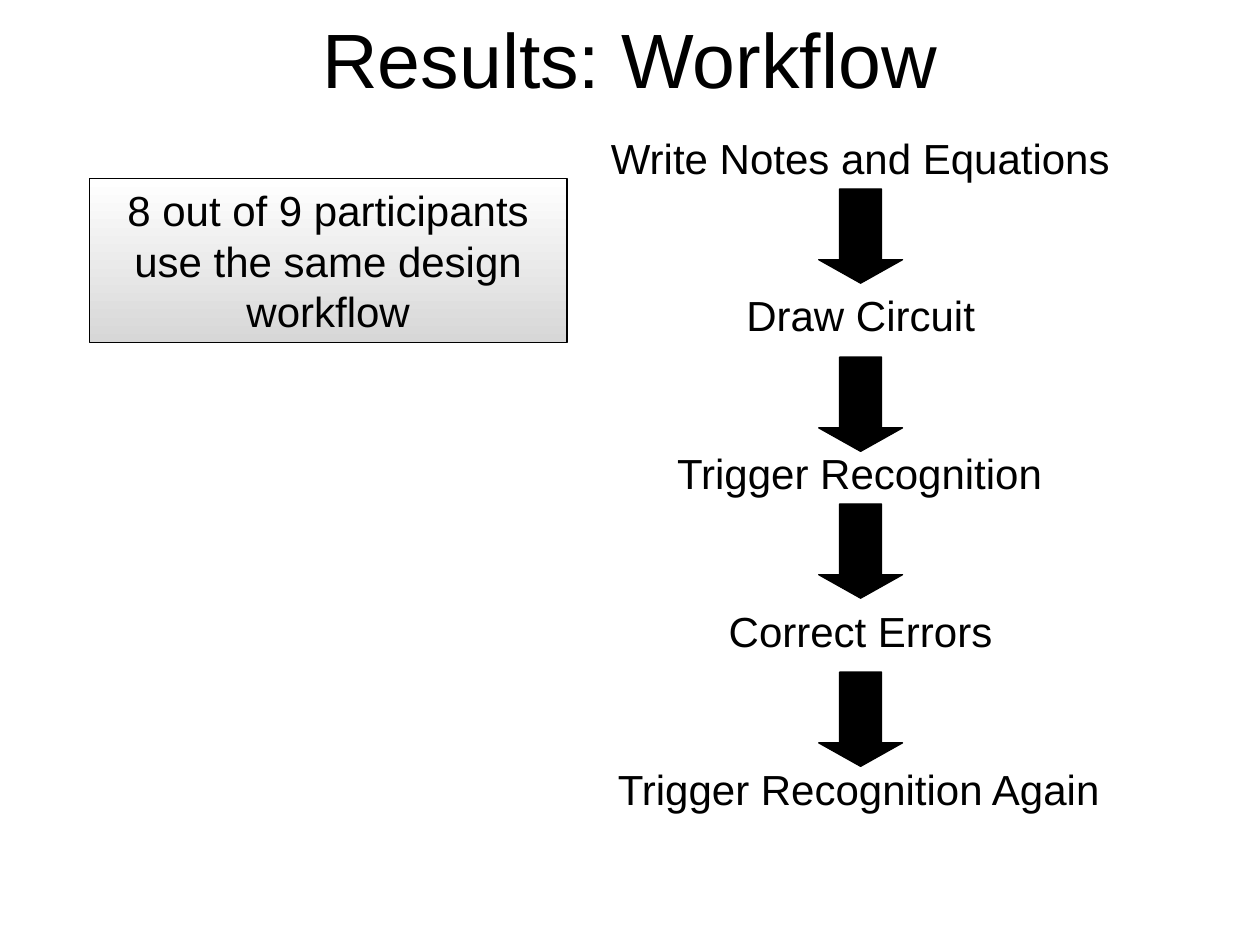
from dataclasses import dataclass

from pptx import Presentation
from pptx.dml.color import RGBColor
from pptx.enum.shapes import MSO_SHAPE
from pptx.enum.text import MSO_ANCHOR, MSO_AUTO_SIZE, PP_ALIGN
from pptx.slide import Slide
from pptx.util import Cm, Pt


def colour(hex_string):
    return RGBColor.from_string(hex_string)


@dataclass
class WorkflowSlide:
    """Draws titles, step labels, callouts and arrows in one style."""

    slide: Slide
    font: str = "Arial"
    ink: str = "000000"
    shade: tuple = ("FFFFFF", "D7D7D7")
    body_size: int = 24
    title_size: int = 44

    def add_lines(self, frame, lines, size, align, anchor=MSO_ANCHOR.TOP):
        frame.vertical_anchor = anchor
        for index, line in enumerate(lines):
            paragraph = frame.add_paragraph() if index else frame.paragraphs[0]
            paragraph.alignment = align
            run = paragraph.add_run()
            run.text = line
            run.font.name = self.font
            run.font.size = Pt(size)
            run.font.color.rgb = colour(self.ink)

    def outline(self, shape):
        shape.shadow.inherit = False
        shape.line.color.rgb = colour(self.ink)
        shape.line.width = Pt(0.75)

    def title(self, text, left, top, width, height):
        heading = self.slide.shapes.add_textbox(Cm(left), Cm(top), Cm(width), Cm(height))
        heading.text_frame.word_wrap = True
        self.add_lines(
            heading.text_frame, [text], self.title_size, PP_ALIGN.CENTER, MSO_ANCHOR.MIDDLE)

    def step(self, text, centre, top, width):
        label = self.slide.shapes.add_textbox(Cm(centre - width / 2), Cm(top), Cm(width), Cm(1.27))
        label.text_frame.word_wrap = False
        label.text_frame.auto_size = MSO_AUTO_SIZE.SHAPE_TO_FIT_TEXT
        self.add_lines(label.text_frame, [text], self.body_size, PP_ALIGN.LEFT)

    def callout(self, lines, left, top, width, height):
        panel = self.slide.shapes.add_shape(
            MSO_SHAPE.RECTANGLE, Cm(left), Cm(top), Cm(width), Cm(height))
        self.outline(panel)
        panel.fill.gradient()
        panel.fill.gradient_angle = 270
        for stop, tone in zip(panel.fill.gradient_stops, self.shade):
            stop.color.rgb = colour(tone)
        frame = panel.text_frame
        frame.margin_left = frame.margin_right = Cm(0.76)
        frame.word_wrap = False
        frame.auto_size = MSO_AUTO_SIZE.SHAPE_TO_FIT_TEXT
        self.add_lines(frame, lines, self.body_size, PP_ALIGN.CENTER)

    def arrow(self, centre, top, width=1.69, height=1.9):
        pointer = self.slide.shapes.add_shape(
            MSO_SHAPE.DOWN_ARROW, Cm(centre - width / 2), Cm(top), Cm(width), Cm(height))
        self.outline(pointer)
        pointer.fill.solid()
        pointer.fill.fore_color.rgb = colour(self.ink)
        pointer.adjustments[0] = 0.5
        pointer.adjustments[1] = 0.28


def main():
    deck = Presentation()
    deck.slide_width, deck.slide_height = Cm(25.4), Cm(19.05)
    results = WorkflowSlide(deck.slides.add_slide(deck.slide_layouts[6]))

    results.title("Results: Workflow", 1.27, -0.43, 22.86, 3.18)

    flow_centre, first_step, step_pitch = 17.35, 2.54, 3.18
    steps = [
        ("Write Notes and Equations", 10.57),
        ("Draw Circuit", 5.11),
        ("Trigger Recognition", 7.9),
        ("Correct Errors", 5.82),
        ("Trigger Recognition Again", 10.29),
    ]
    for index, (step, width) in enumerate(steps):
        results.step(step, flow_centre, first_step + index * step_pitch, width)

    results.callout(
        ["8 out of 9 participants", "use the same design", "workflow"], 1.8, 3.6, 9.63, 3.3)

    for arrow_top in (3.81, 7.2, 10.16, 13.55):
        results.arrow(flow_centre, arrow_top)

    deck.save("out.pptx")


if __name__ == "__main__":
    main()
